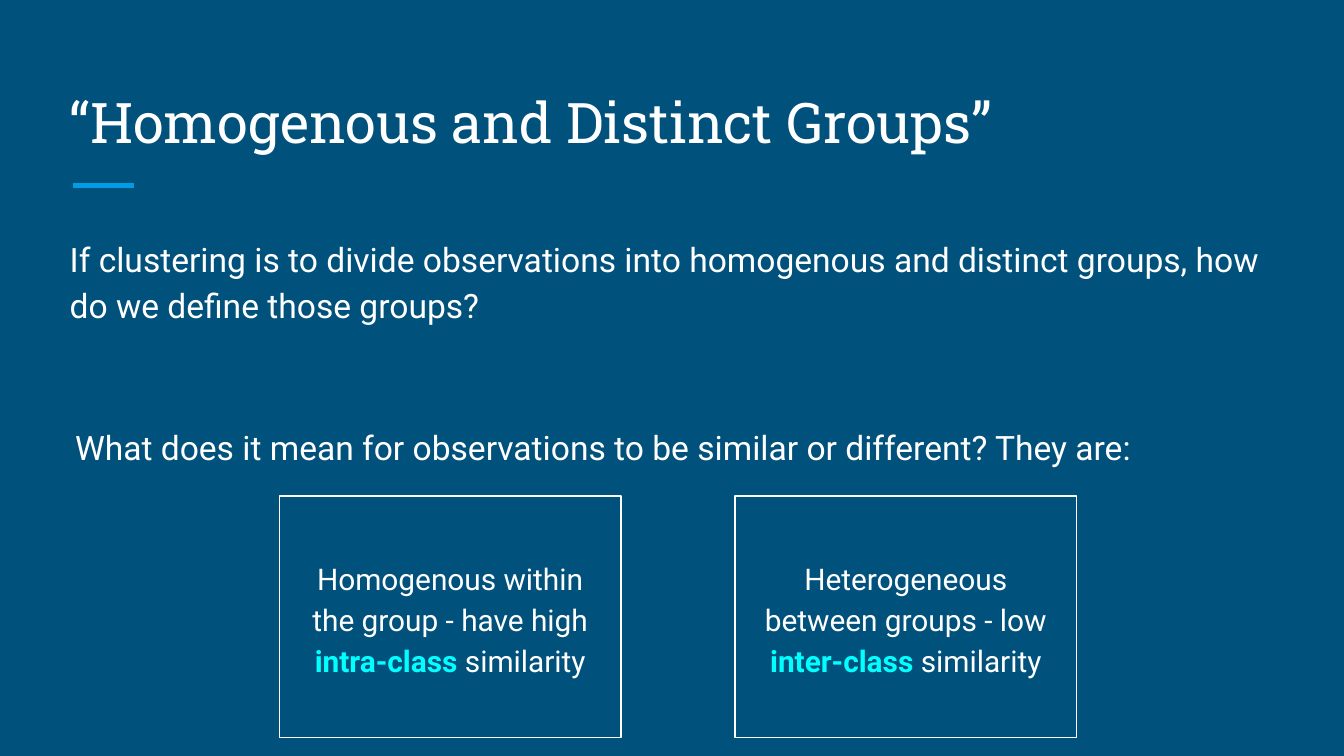
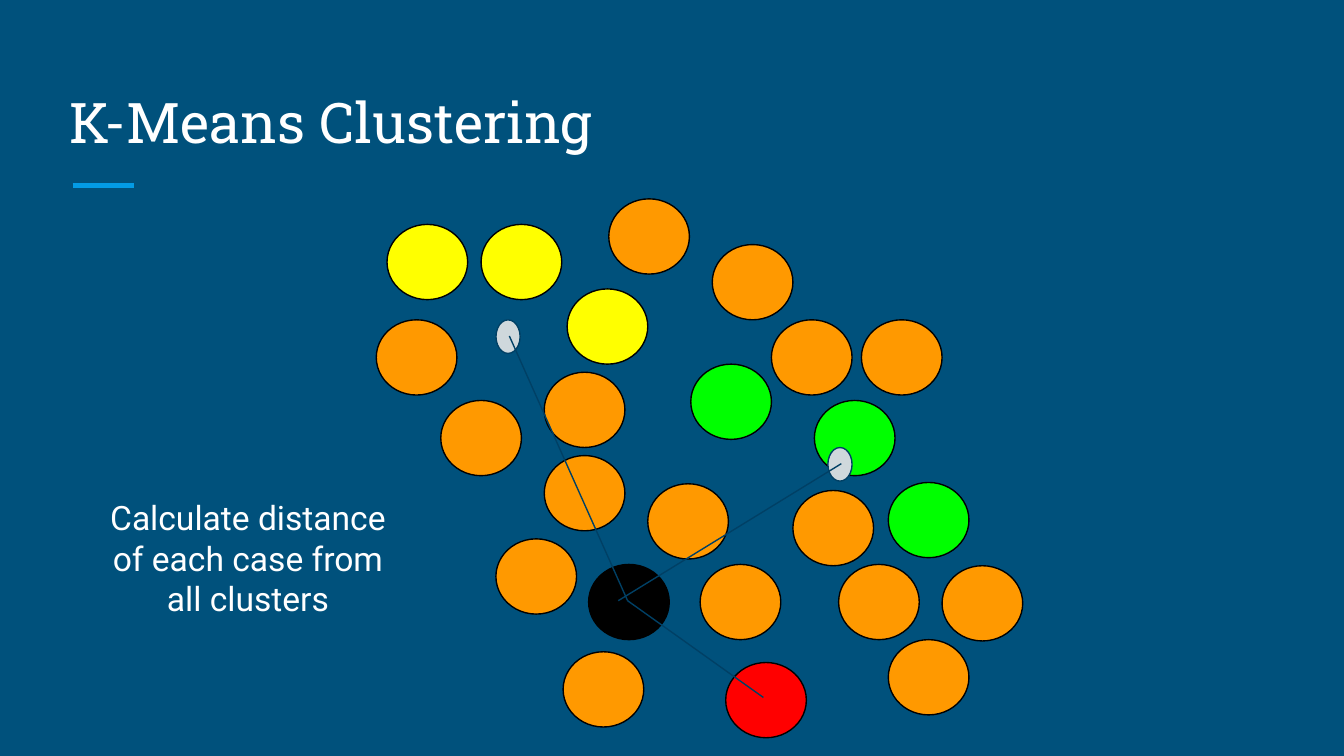
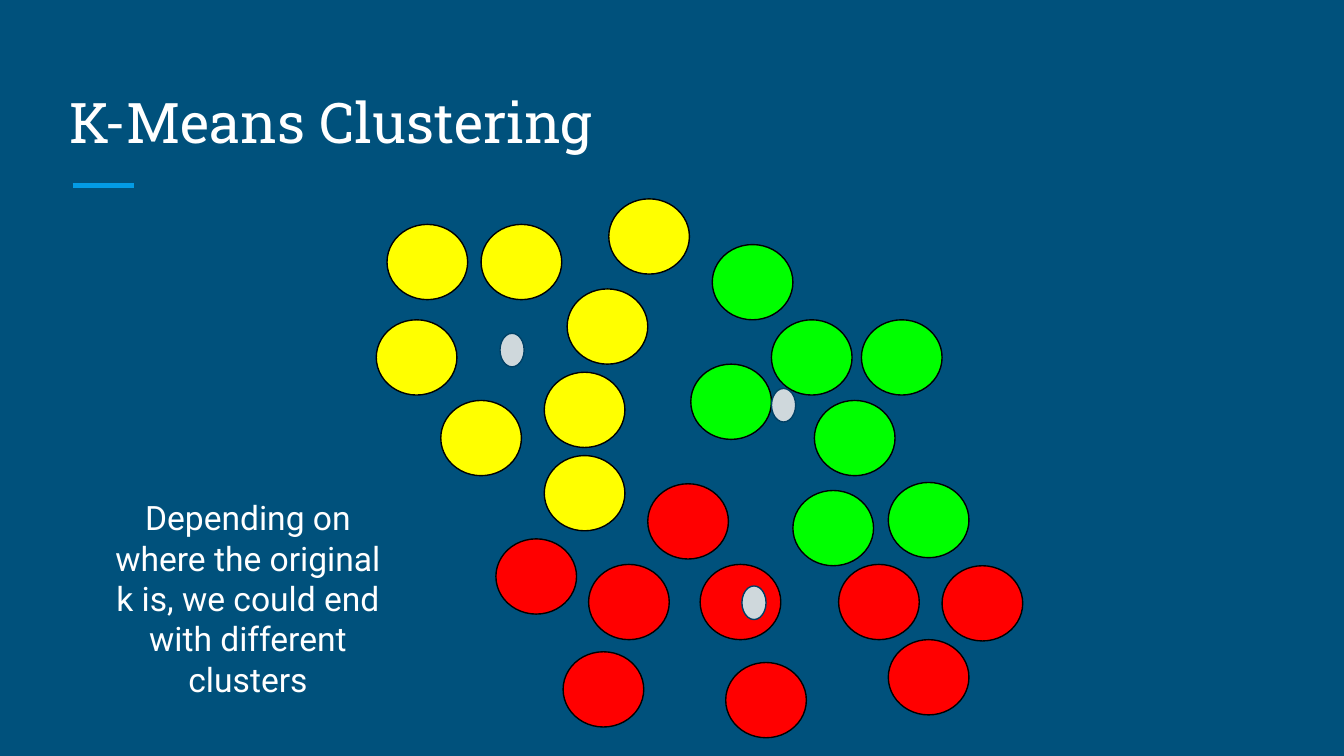
"""Build three slides on clustering: group definition and two k-means steps."""
import pptx
import pptx.dml.color
import pptx.enum.shapes
import pptx.enum.text
import pptx.oxml.ns
import pptx.util
from lxml import etree

Inches = pptx.util.Inches
Pt = pptx.util.Pt
RGBColor = pptx.dml.color.RGBColor
ALIGN = pptx.enum.text.PP_ALIGN
ANCHOR = pptx.enum.text.MSO_ANCHOR
SHAPE = pptx.enum.shapes.MSO_SHAPE

NAVY = RGBColor(0x00, 0x51, 0x7C)
DARK_NAVY = RGBColor(0x00, 0x40, 0x65)
ACCENT = RGBColor(0x03, 0x9B, 0xE5)
WHITE = RGBColor(0xFF, 0xFF, 0xFF)
BLACK = RGBColor(0x00, 0x00, 0x00)
CYAN = RGBColor(0x00, 0xFF, 0xFF)
GREY = RGBColor(0xCF, 0xD8, 0xDC)
ORANGE = RGBColor(0xFF, 0x99, 0x00)
YELLOW = RGBColor(0xFF, 0xFF, 0x00)
GREEN = RGBColor(0x00, 0xFF, 0x00)
RED = RGBColor(0xFF, 0x00, 0x00)

BODY_FONT = "Roboto"
TITLE_FONT = "Roboto Slab"


def write(box, text, size=18, font=BODY_FONT, align=ALIGN.LEFT, anchor=ANCHOR.TOP,
          spaced=False, highlight=""):
    frame = box.text_frame
    frame.word_wrap = True
    frame.vertical_anchor = anchor
    frame.margin_left = frame.margin_right = Inches(0.1)
    frame.margin_top = frame.margin_bottom = Inches(0.1)
    para = frame.paragraphs[0]
    para.alignment = align
    if spaced:
        para.line_spacing = 1.15
        para.space_after = Pt(16)
    before, phrase, after = text.partition(highlight) if highlight else (text, "", "")
    for part in filter(None, (before, phrase, after)):
        span = para.add_run()
        span.text = part
        span.font.name = font
        span.font.size = Pt(size)
        span.font.bold = part == highlight
        span.font.color.rgb = CYAN if part == highlight else WHITE
    return para


def add_line(page, start, end, colour, width):
    line = page.shapes.add_connector(
        pptx.enum.shapes.MSO_CONNECTOR.STRAIGHT, *map(Inches, start + end))
    line.line.color.rgb = colour
    line.line.width = Pt(width)
    etree.SubElement(line._element.spPr, pptx.oxml.ns.qn("a:effectLst"))


deck = pptx.Presentation()
deck.slide_width = Inches(10)
deck.slide_height = Inches(10) * 9 // 16
background = deck.slide_master.background.fill
background.solid()
background.fore_color.rgb = NAVY

pages = []
for title in ("“Homogenous and Distinct Groups”", "K-Means Clustering", "K-Means Clustering"):
    page = deck.slides.add_slide(deck.slide_layouts[6])
    add_line(page, (0.54, 1.38), (1, 1.38), ACCENT, 3)
    box = page.shapes.add_textbox(Inches(0.42), Inches(0.5), Inches(9.15), Inches(0.75))
    write(box, title, 30, TITLE_FONT, anchor=ANCHOR.BOTTOM)
    pages.append(page)
groups_page, distance_page, result_page = pages

box = groups_page.shapes.add_textbox(Inches(0.42), Inches(1.63), Inches(9.15), Inches(1.02))
write(box, "If clustering is to divide observations into homogenous and distinct groups, "
      "how do we define those groups?", spaced=True)
box = groups_page.shapes.add_textbox(Inches(0.34), Inches(2.47), Inches(8.4), Inches(1.67))
para = write(box, "What does it mean for observations to be similar or different? They are:",
             anchor=ANCHOR.MIDDLE, spaced=True)
properties = para._p.get_or_add_pPr()
properties.set("marL", str(Inches(0.5)))
properties.set("indent", str(Inches(-0.38)))

definitions = (
    (2.08, "Homogenous within the group - have high intra-class similarity", "intra-class"),
    (5.47, "Heterogeneous between groups - low inter-class similarity", "inter-class"),
)
for left, text, phrase in definitions:
    box = groups_page.shapes.add_shape(
        SHAPE.RECTANGLE, Inches(left), Inches(3.69), Inches(2.54), Inches(1.8))
    box.shadow.inherit = False
    box.fill.background()
    box.line.color.rgb = WHITE
    box.line.width = Pt(0.75)
    write(box, text, 16, align=ALIGN.CENTER, anchor=ANCHOR.MIDDLE, spaced=True,
          highlight=phrase)

CASE_SIZE = (0.6, 0.56)
CENTROID_SIZE = (0.18, 0.25)
cases = (
    (4.38, 4.2, BLACK, RED), (5.21, 4.2, ORANGE, RED), (4.82, 3.6, ORANGE, RED),
    (2.8, 2.38, ORANGE, YELLOW), (2.88, 1.67, YELLOW, YELLOW), (3.58, 1.67, YELLOW, YELLOW),
    (3.28, 2.98, ORANGE, YELLOW), (4.05, 3.39, ORANGE, YELLOW), (4.05, 2.77, ORANGE, YELLOW),
    (4.22, 2.15, YELLOW, YELLOW), (6.24, 4.2, ORANGE, RED), (6.61, 4.76, ORANGE, RED),
    (7.01, 4.21, ORANGE, RED), (5.9, 3.65, ORANGE, GREEN), (6.61, 3.59, GREEN, GREEN),
    (6.06, 2.98, GREEN, GREEN), (5.14, 2.71, GREEN, GREEN), (5.74, 2.38, ORANGE, GREEN),
    (6.41, 2.38, ORANGE, GREEN), (5.3, 1.82, ORANGE, GREEN), (4.53, 1.48, ORANGE, YELLOW),
    (3.69, 4.01, ORANGE, RED), (5.4, 4.93, RED, RED), (4.19, 4.85, ORANGE, RED),
)
steps = (
    (distance_page, "Calculate distance of each case from all clusters",
     ((6.16, 3.33), (3.69, 2.38))),
    (result_page, "Depending on where the original k is, we could end with different clusters",
     ((5.74, 2.89), (3.72, 2.48), (5.52, 4.36))),
)
for step, (page, caption, centroids) in enumerate(steps):
    dots = [(case[:2], CASE_SIZE, case[2 + step], BLACK) for case in cases]
    dots += [(centroid, CENTROID_SIZE, GREY, DARK_NAVY) for centroid in centroids]
    for position, size, fill, outline in dots:
        dot = page.shapes.add_shape(SHAPE.OVAL, *map(Inches, position + size))
        dot.shadow.inherit = False
        dot.fill.solid()
        dot.fill.fore_color.rgb = fill
        dot.line.color.rgb = outline
        dot.line.width = Pt(0.75)
    box = page.shapes.add_textbox(Inches(0.7), Inches(3.6), Inches(2.29), Inches(0.99))
    write(box, caption, align=ALIGN.CENTER)

distances = (
    ((4.67, 4.47), (3.79, 2.5)),
    ((4.6, 4.47), (6.26, 3.45)),
    ((4.67, 4.47), (5.68, 5.19)),
)
for start, end in distances:
    add_line(distance_page, start, end, DARK_NAVY, 0.75)

deck.save("out.pptx")
